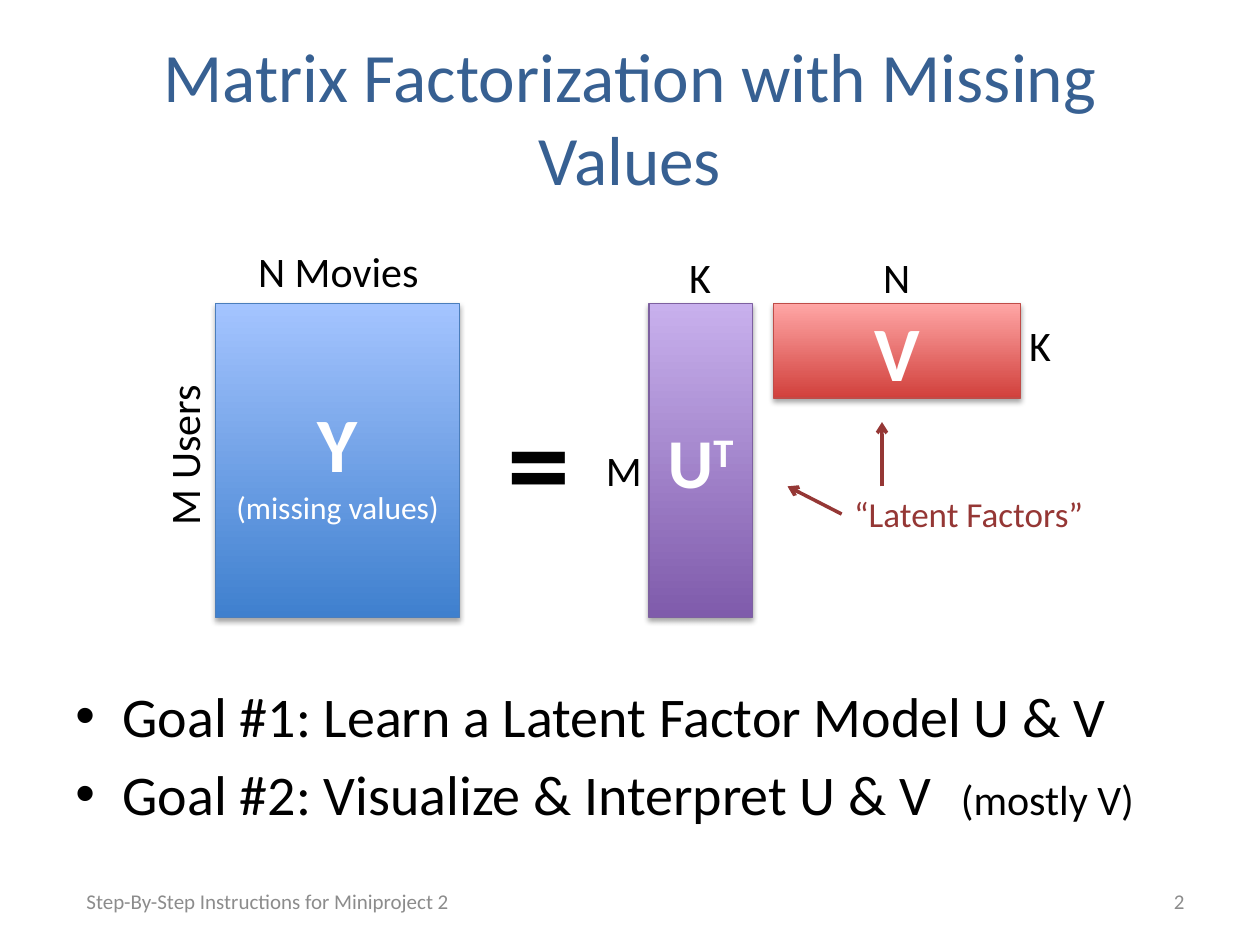
from dataclasses import dataclass

from lxml.etree import SubElement
from pptx import Presentation
from pptx.dml.color import RGBColor
from pptx.enum.shapes import MSO_CONNECTOR, MSO_SHAPE
from pptx.enum.text import MSO_ANCHOR, PP_ALIGN
from pptx.oxml.ns import qn
from pptx.util import Inches, Pt

COLUMNS, ROWS = 100, 75
MATRIX_TOP, MATRIX_HEIGHT = 24.1, 24.9
BLACK, WHITE, GREY = "000000", "FFFFFF", "8C8C8C"
BLUE, DARK_RED = "376092", "953735"


@dataclass(frozen=True)
class Box:
    column: float
    row: float
    columns: float
    rows: float


@dataclass(frozen=True)
class TextRun:
    text: str
    size: float
    bold: bool = False
    baseline: int = 0
    spacing: int = 0


@dataclass(frozen=True)
class Matrix:
    box: Box
    bottom_color: str
    top_color: str
    line_color: str
    paragraphs: list[list[TextRun]]


@dataclass(frozen=True)
class Label:
    box: Box
    text: str
    size: float = 24
    color: str = BLACK
    bold: bool = False
    rotation: float = 0
    wrap: bool = False
    align: PP_ALIGN = PP_ALIGN.LEFT
    anchor: MSO_ANCHOR = MSO_ANCHOR.TOP


@dataclass(frozen=True)
class Arrow:
    start: tuple[float, float]
    end: tuple[float, float]


MATRICES = [
    Matrix(Box(17.1, MATRIX_TOP, 19.4, MATRIX_HEIGHT), "3F80CE", "A4C4FF", "4B7EBC",
           [[TextRun("Y", 44, True)], [TextRun("(missing values)", 18)]]),
    Matrix(Box(51.5, MATRIX_TOP, 8.2, MATRIX_HEIGHT), "7F5BAB", "C8B0ED", "7D60A0",
           [[TextRun("U", 40, True), TextRun("T", 40, True, baseline=30000)]]),
    Matrix(Box(61.4, MATRIX_TOP, 19.6, 7.5), "D1403C", "FFA6A5", "BF4C48",
           [[TextRun("V", 44, True)]]),
]

LABELS = [
    Label(Box(5, 3, 90, 12.5), "Matrix Factorization with Missing Values", 39.6, BLUE,
          wrap=True, align=PP_ALIGN.CENTER, anchor=MSO_ANCHOR.MIDDLE),
    Label(Box(5, 69.5, 32.5, 4), "Step-By-Step Instructions for Miniproject 2", 12, GREY,
          wrap=True, align=PP_ALIGN.CENTER, anchor=MSO_ANCHOR.MIDDLE),
    Label(Box(71.7, 69.5, 23.3, 4), "2", 12, GREY,
          wrap=True, align=PP_ALIGN.RIGHT, anchor=MSO_ANCHOR.MIDDLE),
    Label(Box(19.5, 19, 14.9, 5), "N Movies"),
    Label(Box(7.9, 33.5, 13.3, 5), "M Users", rotation=270),
    Label(Box(39.3, 29.9, 7, 13.1), "=", 72, bold=True),
    Label(Box(69.1, 19.5, 4.2, 5), "N"),
    Label(Box(47.1, 34.8, 4.9, 5), "M"),
    Label(Box(53.7, 19.5, 3.8, 5), "K"),
    Label(Box(80.7, 24.9, 3.8, 5), "K"),
    Label(Box(66.8, 38.6, 20.6, 4.4), "“Latent Factors”", 20, DARK_RED),
]

ARROWS = [Arrow((66.8, 40.8), (62.5, 38.6)), Arrow((70, 38.6), (70, 33.5))]

GOALS_BOX = Box(5, 53.6, 90, 13.4)
GOALS = [
    [TextRun("Goal #1: Learn a Latent Factor Model U & V", 32)],
    [TextRun("Goal #2: Visualize & Interpret U & V", 32),
     TextRun(" ", 24, spacing=1080), TextRun("(mostly V)", 24)],
]

presentation = Presentation()
presentation.slide_width, presentation.slide_height = Inches(10), Inches(7.5)
slide = presentation.slides.add_slide(presentation.slide_layouts[6])


def across(columns: float) -> int:
    return round(presentation.slide_width * columns / COLUMNS)


def down(rows: float) -> int:
    return round(presentation.slide_height * rows / ROWS)


def place(box: Box) -> tuple[int, int, int, int]:
    return across(box.column), down(box.row), across(box.columns), down(box.rows)


def color(value: str) -> RGBColor:
    return RGBColor.from_string(value)


def write(text_frame, paragraphs: list[list[TextRun]], text_color: str, align: PP_ALIGN) -> None:
    for index, runs in enumerate(paragraphs):
        paragraph = text_frame.add_paragraph() if index else text_frame.paragraphs[0]
        paragraph.alignment = align
        for item in runs:
            run = paragraph.add_run()
            run.text = item.text
            run.font.name, run.font.size, run.font.bold = "Calibri", Pt(item.size), item.bold
            run.font.color.rgb = color(text_color)
            properties = run._r.get_or_add_rPr()
            if item.baseline:
                properties.set("baseline", str(item.baseline))
            if item.spacing:
                properties.set("spc", str(item.spacing))


def add_text_box(box: Box, paragraphs: list[list[TextRun]], text_color: str = BLACK,
                 align: PP_ALIGN = PP_ALIGN.LEFT, wrap: bool = True):
    shape = slide.shapes.add_textbox(*place(box))
    shape.text_frame.word_wrap = wrap
    write(shape.text_frame, paragraphs, text_color, align)
    return shape


def add_label(label: Label) -> None:
    runs = [TextRun(label.text, label.size, label.bold)]
    shape = add_text_box(label.box, [runs], label.color, label.align, label.wrap)
    shape.rotation = label.rotation
    shape.text_frame.vertical_anchor = label.anchor


def add_matrix(matrix: Matrix) -> None:
    shape = slide.shapes.add_shape(MSO_SHAPE.RECTANGLE, *place(matrix.box))
    shape.fill.gradient()
    shape.fill.gradient_angle = 90
    for stop, value in zip(shape.fill.gradient_stops, (matrix.bottom_color, matrix.top_color)):
        stop.color.rgb = color(value)
    for stop, position in zip(shape.fill.gradient_stops, (0, 1)):
        stop.position = position
    shape.line.color.rgb, shape.line.width = color(matrix.line_color), Pt(0.75)
    shape.shadow.inherit = False
    effects = shape._element.spPr.find(qn("a:effectLst"))
    shadow = SubElement(effects, qn("a:outerShdw"), blurRad=str(Pt(3.1)), dist=str(Pt(1.8)),
                        dir="5400000", rotWithShape="0")
    shade = SubElement(shadow, qn("a:srgbClr"), val=BLACK)
    SubElement(shade, qn("a:alpha"), val="35000")
    shape.text_frame.vertical_anchor = MSO_ANCHOR.MIDDLE
    write(shape.text_frame, matrix.paragraphs, WHITE, PP_ALIGN.CENTER)


def add_arrow(arrow: Arrow) -> None:
    (start_column, start_row), (end_column, end_row) = arrow.start, arrow.end
    connector = slide.shapes.add_connector(
        MSO_CONNECTOR.STRAIGHT, across(start_column), down(start_row),
        across(end_column), down(end_row))
    connector.line.color.rgb, connector.line.width = color(DARK_RED), Pt(2)
    SubElement(connector.line._get_or_add_ln(), qn("a:tailEnd"), type="arrow")
    SubElement(connector._element.spPr, qn("a:effectLst"))


def add_goals() -> None:
    shape = add_text_box(GOALS_BOX, GOALS)
    indent = across(3.75)
    for paragraph in shape.text_frame.paragraphs:
        paragraph.space_before = Pt(6.4)
        properties = paragraph._p.get_or_add_pPr()
        properties.set("marL", str(indent))
        properties.set("indent", str(-indent))
        SubElement(properties, qn("a:buFont"), typeface="Arial")
        SubElement(properties, qn("a:buChar"), char="•")


for matrix in MATRICES:
    add_matrix(matrix)
for label in LABELS:
    add_label(label)
for arrow in ARROWS:
    add_arrow(arrow)
add_goals()
presentation.save("out.pptx")
